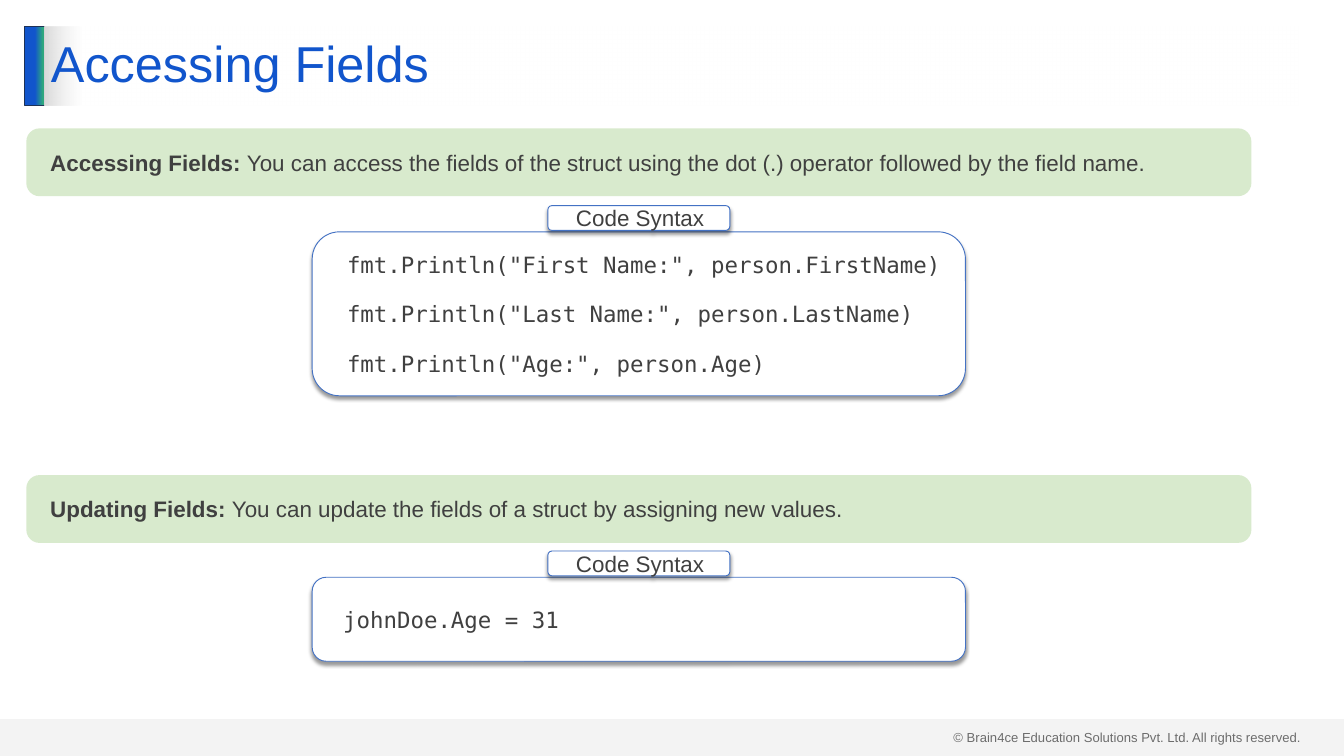
from pptx import Presentation
from pptx.dml.color import RGBColor
from pptx.enum.shapes import MSO_SHAPE
from pptx.enum.text import MSO_ANCHOR
from pptx.oxml.ns import qn
from pptx.util import Pt
from lxml.etree import SubElement

# Content
TITLE = "Accessing Fields"
COPYRIGHT = "© Brain4ce Education Solutions Pvt. Ltd. All rights reserved."
LABEL = "Code Syntax"
SECTIONS = [  # banner top, heading, explanation, code top, code height, code
    (137.5, "Accessing Fields: ",
     "You can access the fields of the struct using the dot (.) operator "
     "followed by the field name.",
     248.4, 175.7,
     ['fmt.Println("First Name:", person.FirstName)',
      'fmt.Println("Last Name:", person.LastName)',
      'fmt.Println("Age:", person.Age)']),
    (509, "Updating Fields: ",
     "You can update the fields of a struct by assigning new values.",
     618.5, 90, ["johnDoe.Age = 31"]),
]

# Style
C = {"blue": "1155CC", "green": "2EA87D", "navy": "1E3256", "grey": "D9D9D9",
     "white": "FFFFFF", "mint": "C5E0B4", "border": "4472C4", "text": "404040"}
SANS, MONO = "Arial", "DejaVu Sans Mono"
W, H = 1440, 810
CENTER = 684.5
BANNER_W, BANNER_H = 1312.6, 72.7
CODE_W = 700
LABEL_W, LABEL_H, LABEL_RISE = 195, 26.6, 28.1
HEAD_TOP, HEAD_H = 28.1, 85


def add_alpha(color, percent):
    SubElement(color, qn("a:alpha"), val=str(percent * 1000))


def add_box(kind, x, y, w, h, fill=None, line=None, alpha=None):
    sp = s.shapes.add_shape(kind, Pt(x), Pt(y), Pt(w), Pt(h))
    sp.shadow.inherit = False
    if fill:
        sp.fill.solid()
        sp.fill.fore_color.rgb = RGBColor.from_string(C[fill])
    if alpha:
        add_alpha(sp._element.spPr.find(".//" + qn("a:srgbClr")), alpha)
    if line:
        sp.line.color.rgb = RGBColor.from_string(C[line])
        sp.line.width = Pt(1)
    else:
        sp.line.fill.background()
    return sp


def set_gradient(sp, stops):
    sp.fill.gradient()
    sp.fill.gradient_angle = 0
    stop_list = sp._element.spPr.find(".//" + qn("a:gsLst"))
    for stop in list(stop_list):
        stop_list.remove(stop)
    for pos, color, alpha in stops:
        gs = SubElement(stop_list, qn("a:gs"), pos=str(pos * 1000))
        clr = SubElement(gs, qn("a:srgbClr"), val=C[color])
        if alpha < 100:
            add_alpha(clr, alpha)


def add_shadow(sp):
    effects = sp._element.spPr.find(qn("a:effectLst"))
    shadow = SubElement(effects, qn("a:outerShdw"), blurRad=str(Pt(4)),
                        dist=str(Pt(3)), dir="5400000", algn="t", rotWithShape="0")
    add_alpha(SubElement(shadow, qn("a:srgbClr"), val="000000"), 40)


def write(sp, lines, size=24, font=SANS, color="text", indent=14.4, inset=7.2):
    """Each line is a list of (text, bold) runs."""
    tf = sp.text_frame
    tf.word_wrap = True
    tf.vertical_anchor = MSO_ANCHOR.MIDDLE
    tf.margin_left = tf.margin_right = Pt(inset)
    tf.margin_top = tf.margin_bottom = Pt(inset / 2)
    for i, runs in enumerate(lines):
        p = tf.add_paragraph() if i else tf.paragraphs[0]
        pPr = p._p.get_or_add_pPr()
        pPr.set("marL", str(Pt(indent)))
        pPr.set("indent", "0")
        pPr.set("algn", "l")
        if i:
            p.space_before = Pt(24)
        for text, bold in runs:
            r = p.add_run()
            r.text = text
            r.font.size, r.font.name, r.font.bold = Pt(size), font, bold
            r.font.color.rgb = RGBColor.from_string(C[color])
    return tf


prs = Presentation()
prs.slide_width, prs.slide_height = Pt(W), Pt(H)
s = prs.slides.add_slide(prs.slide_layouts[6])

# Footer: the translucent bar lies over the copyright line
credit = s.shapes.add_textbox(Pt(1014.5), Pt(777.6), Pt(389.5), Pt(24.5))
write(credit, [[(COPYRIGHT, False)]], size=14, indent=0)
add_box(MSO_SHAPE.RECTANGLE, 0, 770.4, W, 39.6, "grey", alpha=29)

# Title with its colour stripe
stripe = add_box(MSO_SHAPE.RECTANGLE, 26.6, HEAD_TOP, 21.6, HEAD_H, line="navy")
set_gradient(stripe, [(51, "blue", 100), (90, "green", 100), (100, "green", 100)])
title = add_box(MSO_SHAPE.RECTANGLE, 47.5, HEAD_TOP, 1344, HEAD_H)
set_gradient(title, [(0, "grey", 100), (3, "white", 50)])
tf = write(title, [[(TITLE, False)]], size=54, color="blue", indent=0)
tf.paragraphs[0].line_spacing = 0.9

# Sections: banner, code box, label tab
for top, heading, body, code_top, code_h, code in SECTIONS:
    banner = add_box(MSO_SHAPE.ROUNDED_RECTANGLE, CENTER - BANNER_W / 2, top,
                     BANNER_W, BANNER_H, "mint", alpha=66)
    banner.adjustments[0] = 0.195
    write(banner, [[(heading, True), (body, False)]])

    for y, w, h, lines, font in (
            (code_top, CODE_W, code_h, code, MONO),
            (code_top - LABEL_RISE, LABEL_W, LABEL_H, [LABEL], SANS)):
        sp = add_box(MSO_SHAPE.ROUNDED_RECTANGLE, CENTER - w / 2, y, w, h,
                     "white", "border")
        add_shadow(sp)
        write(sp, [[(text, False)] for text in lines], font=font, inset=14.4)

prs.save("out.pptx")
